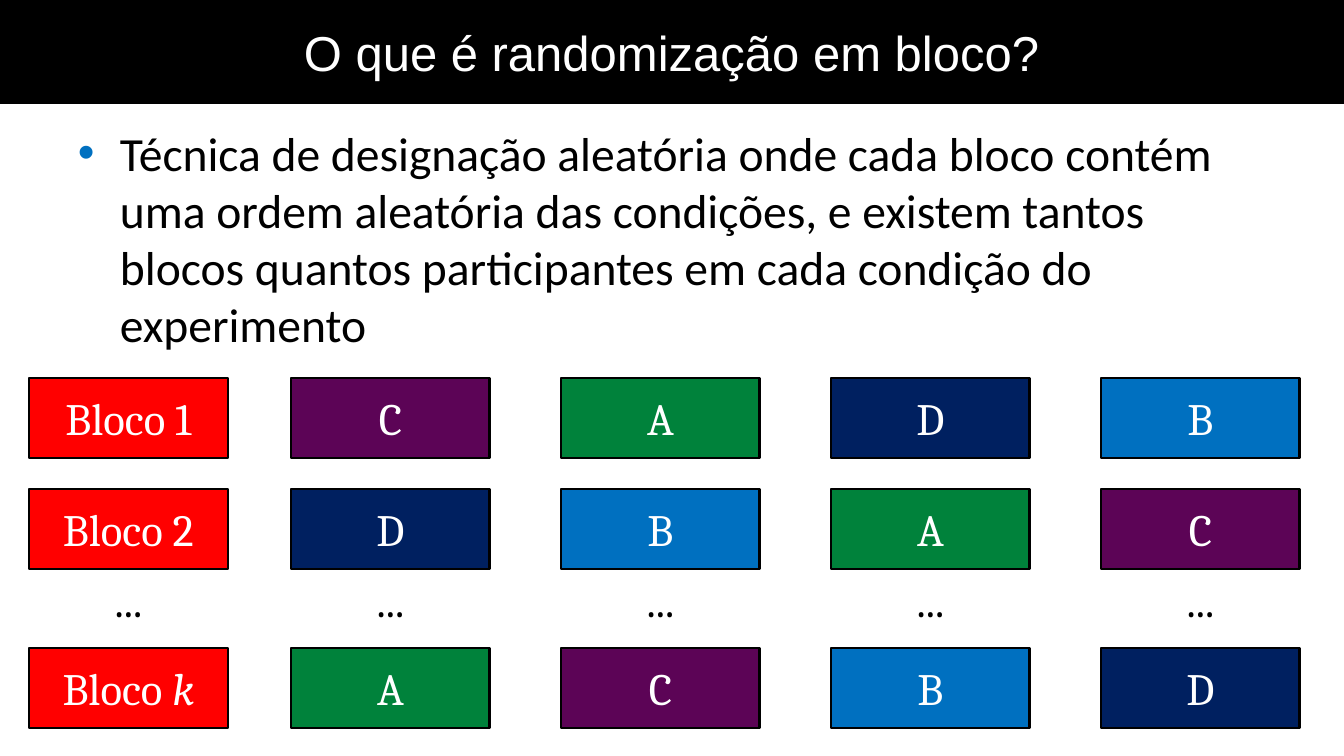
"""Build the slide that explains block randomization."""
from lxml import etree
from pptx import Presentation, util as u
from pptx.dml.color import RGBColor
from pptx.enum import shapes, text
from pptx.oxml import ns

PX_PER_INCH = 100.8
BLACK = RGBColor(0x00, 0x00, 0x00)
WHITE = RGBColor(0xFF, 0xFF, 0xFF)
RED = RGBColor(0xFF, 0x00, 0x00)
GREEN = RGBColor(0x00, 0x82, 0x3B)
BLUE = RGBColor(0x00, 0x70, 0xC0)
PURPLE = RGBColor(0x5C, 0x04, 0x56)
NAVY = RGBColor(0x00, 0x20, 0x60)
CONDITIONS = {"A": GREEN, "B": BLUE, "C": PURPLE, "D": NAVY}

WIDTH, HEIGHT = 1344, 756
CELL_W, CELL_H = 199, 80
LABEL_X, FIRST_X, STEP_X = 29, 291, 270
COLUMNS = [LABEL_X] + [FIRST_X + STEP_X * i for i in range(4)]
BLOCKS = [(378, "1", "CADB"), (489, "2", "DBAC"), (648, "k", "ACBD")]
DOTS_Y = 560

TITLE = "O que é randomização em bloco?"
DEFINITION = (
    "Técnica de designação aleatória onde cada bloco contém uma ordem "
    "aleatória das condições, e existem tantos blocos quantos participantes "
    "em cada condição do experimento"
)


def px(n):
    """Turn pixels into EMU."""
    return u.Emu(round(n * 914400 / PX_PER_INCH))


def format_runs(p, font, size, color):
    """Set font, size and colour on every run of a paragraph."""
    for r in p.runs:
        r.font.name = font
        r.font.size = u.Pt(size)
        r.font.color.rgb = color


def center(tf):
    """Centre a text frame both ways and return its paragraph."""
    tf.word_wrap = True
    tf.vertical_anchor = text.MSO_ANCHOR.MIDDLE
    p = tf.paragraphs[0]
    p.alignment = text.PP_ALIGN.CENTER
    return p


def add_box(parent, box, fill, label, font, size, italic=""):
    """Add an outlined rectangle whose label may end in italics."""
    sp = parent.add_shape(shapes.MSO_SHAPE.RECTANGLE, *map(px, box))
    sp.shadow.inherit = False
    sp.fill.solid()
    sp.fill.fore_color.rgb = fill
    sp.line.color.rgb = BLACK
    sp.line.width = u.Pt(2)
    p = center(sp.text_frame)
    p.text = label
    if italic:
        r = p.add_run()
        r.text = italic
        r.font.italic = True
    format_runs(p, font, size, WHITE)


def add_bullet(p, color, indent):
    """Give a paragraph a coloured bullet with a hanging indent."""
    pPr = p._p.get_or_add_pPr()
    pPr.set("marL", str(px(indent)))
    pPr.set("indent", str(-px(indent)))
    clr = etree.SubElement(pPr, ns.qn("a:buClr"))
    etree.SubElement(clr, ns.qn("a:srgbClr"), val=str(color))
    etree.SubElement(pPr, ns.qn("a:buFont"), typeface="Arial")
    etree.SubElement(pPr, ns.qn("a:buChar"), char="•")


def add_definition(s):
    """Add the bulleted definition."""
    tf = s.shapes.add_textbox(px(67), px(118), px(1210), px(260)).text_frame
    tf.word_wrap = True
    tf.margin_left = tf.margin_right = px(11)
    tf.margin_top = tf.margin_bottom = px(6)
    p = tf.paragraphs[0]
    p.text = DEFINITION
    p.space_before = u.Pt(7.2)
    add_bullet(p, BLUE, 42)
    format_runs(p, "Calibri", 34, BLACK)


def add_block(s, y, name, order):
    """Add one grouped row: the block label and its conditions."""
    row = s.shapes.add_group_shape().shapes
    number, letter = ("", name) if name.isalpha() else (name, "")
    add_box(row, (LABEL_X, y, CELL_W, CELL_H), RED, "Bloco " + number,
            "Cambria", 32, letter)
    for x, condition in zip(COLUMNS[1:], order):
        add_box(row, (x, y, CELL_W, CELL_H), CONDITIONS[condition], condition,
                "Cambria", 32)


def add_dots(s):
    """Add the grouped row of ellipses."""
    row = s.shapes.add_group_shape().shapes
    for x in COLUMNS:
        tb = row.add_textbox(px(x), px(DOTS_Y), px(CELL_W), px(CELL_H))
        p = center(tb.text_frame)
        p.text = "..."
        format_runs(p, "Cambria", 32, BLACK)


def main():
    """Build and save the slide."""
    prs = Presentation()
    prs.slide_width, prs.slide_height = px(WIDTH), px(HEIGHT)
    s = prs.slides.add_slide(prs.slide_layouts[6])
    add_box(s.shapes, (0, 0, WIDTH, 103), BLACK, TITLE, "Arial", 35)
    add_definition(s)
    for y, name, order in BLOCKS:
        add_block(s, y, name, order)
    add_dots(s)
    prs.save("out.pptx")


if __name__ == "__main__":
    main()
